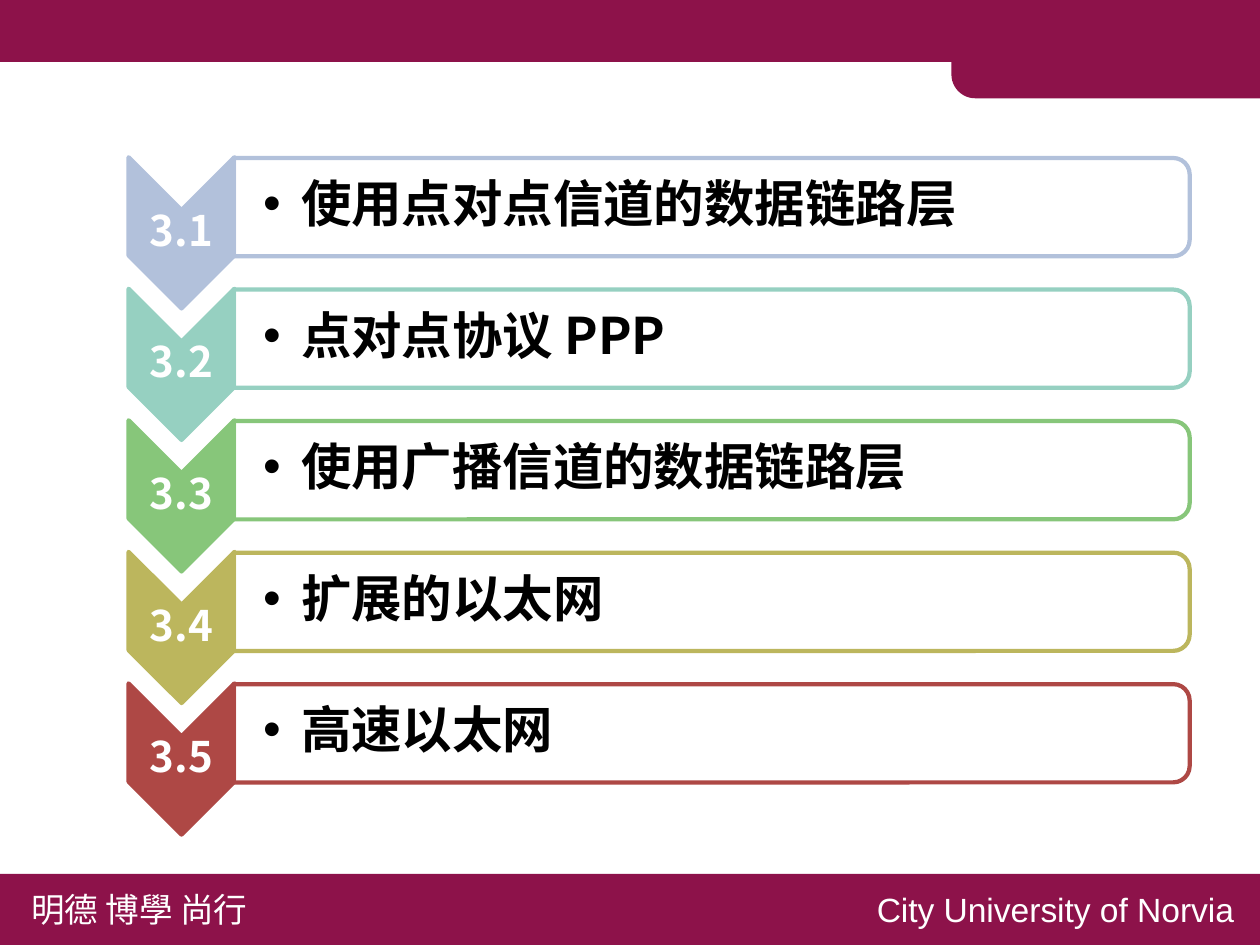
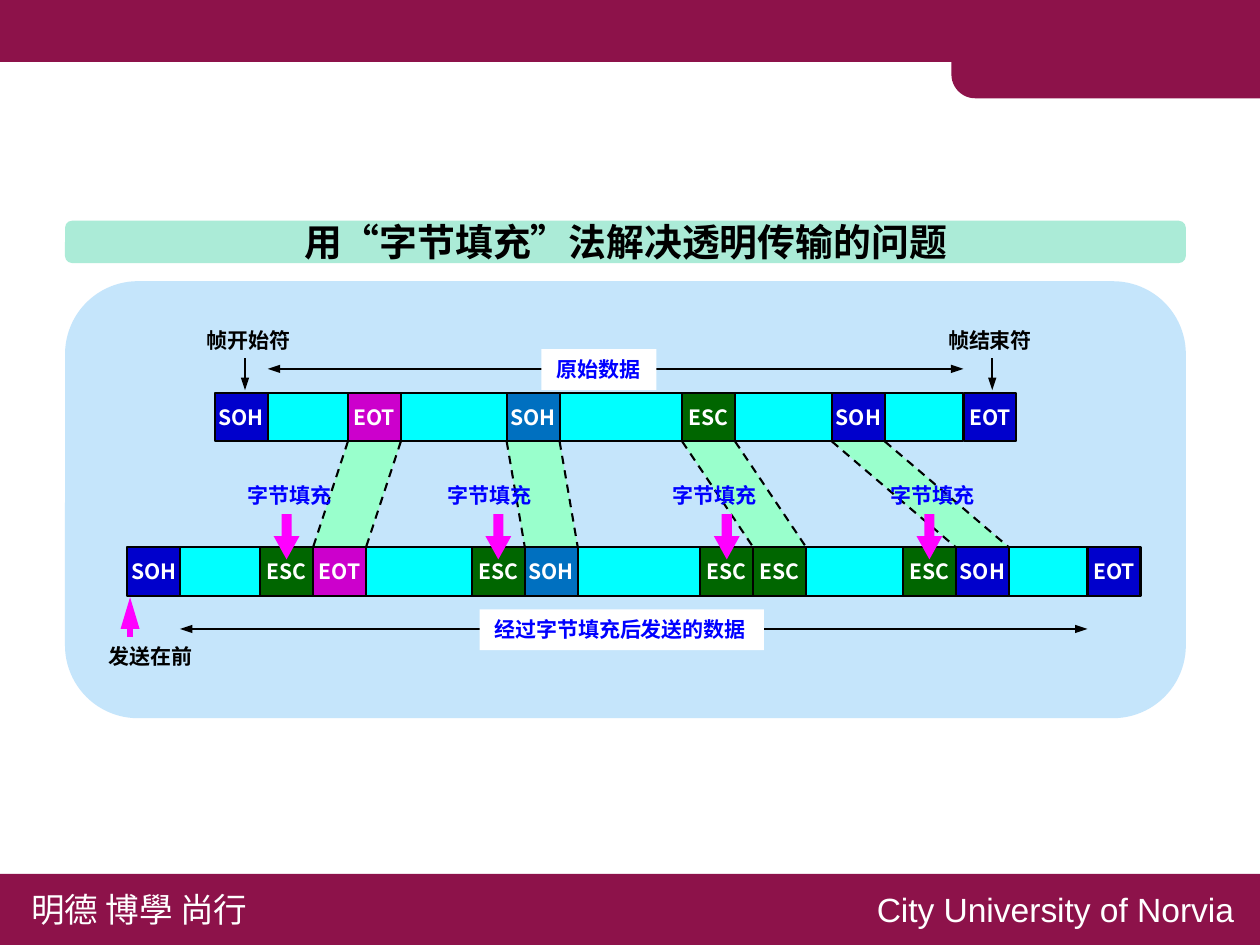
from dataclasses import dataclass

from lxml.etree import SubElement
from pptx import Presentation
from pptx.dml.color import RGBColor
from pptx.enum.dml import MSO_LINE
from pptx.enum.shapes import MSO_CONNECTOR, MSO_SHAPE
from pptx.enum.text import MSO_ANCHOR, MSO_AUTO_SIZE, PP_ALIGN
from pptx.oxml.ns import qn
from pptx.util import Inches, Pt


@dataclass(frozen=True)
class Theme:
    """Colours, fonts and type sizes of the presentation."""
    band: str = "8D124A"
    white: str = "FFFFFF"
    black: str = "000000"
    title_bar: str = "ABEBD7"
    panel: str = "C5E5FB"
    data: str = "00FFFF"
    control: str = "0000CC"
    end_in_data: str = "CC00CC"
    start_in_data: str = "0070C0"
    escape: str = "006600"
    ribbon: str = "99FFCC"
    label: str = "0000FF"
    pointer: str = "FF00FF"
    cjk_font: str = "Noto Sans CJK SC"
    latin_font: str = "Arial"
    footer_size: int = 16
    number_size: int = 20
    section_size: int = 24
    title_size: int = 18
    label_size: int = 10


THEME = Theme()
WIDTH, HEIGHT = 8.33, 6.25

SECTIONS = [
    ("3.1", "使用点对点信道的数据链路层", "B2C1DB"),
    ("3.2", "点对点协议 PPP", "96D0C1"),
    ("3.3", "使用广播信道的数据链路层", "87C67A"),
    ("3.4", "扩展的以太网", "BCB65D"),
    ("3.5", "高速以太网", "AE4845"),
]
SECTION_TOP, SECTION_STEP = 1.04, 0.87

CELL_WIDTH, CELL_HEIGHT = 0.35, 0.32
ORIGINAL_LEFT, ORIGINAL_TOP = 1.42, 2.6
STUFFED_LEFT, STUFFED_TOP = 0.84, 3.62
DATA_GAPS = [0.53, 0.7, 0.81, 0.64, 0.52]
SPECIAL_BYTES = [
    ("EOT", THEME.end_in_data, 1.54),
    ("SOH", THEME.start_in_data, 2.86),
    ("ESC", THEME.escape, 4.35),
    ("SOH", THEME.control, 5.79),
]


def rgb(colour):
    """Turn a hexadecimal colour into an RGBColor."""
    return RGBColor.from_string(colour)


def paint(shape, fill, line=None, line_width=1):
    """Give a shape its fill and outline and take away its shadow."""
    shape.shadow.inherit = False
    shape.fill.solid()
    shape.fill.fore_color.rgb = rgb(fill)
    if line:
        shape.line.color.rgb = rgb(line)
        shape.line.width = Pt(line_width)
    else:
        shape.line.fill.background()


def add_block(slide, kind, box, fill, line=None, line_width=1, rotation=0, adjustments=()):
    """Add a painted preset shape."""
    shape = slide.shapes.add_shape(kind, *map(Inches, box))
    paint(shape, fill, line, line_width)
    shape.rotation = rotation
    for index, value in enumerate(adjustments):
        shape.adjustments[index] = value
    return shape


def write(shape, text, size, colour, bold=True, font=THEME.cjk_font, align=PP_ALIGN.LEFT,
          anchor=MSO_ANCHOR.TOP, wrap=False, insets=None):
    """Write one run into a shape and return its paragraph."""
    frame = shape.text_frame
    frame.word_wrap = wrap
    frame.vertical_anchor = anchor
    if insets:
        (frame.margin_left, frame.margin_top,
         frame.margin_right, frame.margin_bottom) = map(Inches, insets)
    paragraph = frame.paragraphs[0]
    paragraph.alignment = align
    run = paragraph.add_run()
    run.text = text
    run.font.name = font
    run.font.size = Pt(size)
    run.font.bold = bold
    run.font.color.rgb = rgb(colour)
    properties = run.font._element
    SubElement(properties, qn("a:ea")).set("typeface", font)
    if font == THEME.cjk_font:
        properties.set("lang", "zh-CN")
    return paragraph


def add_text(slide, box, text, size, colour, **options):
    """Add a text box with one run and return its paragraph."""
    shape = slide.shapes.add_textbox(*map(Inches, box))
    return write(shape, text, size, colour, **options)


def add_label(slide, box, text, colour, fill=None):
    """Add a small bold label, on a plain ground if a fill is given."""
    shape = slide.shapes.add_textbox(*map(Inches, box))
    if fill:
        paint(shape, fill)
    write(shape, text, THEME.label_size, colour)
    shape.text_frame.auto_size = MSO_AUTO_SIZE.SHAPE_TO_FIT_TEXT


def add_line(slide, start, end, colour=THEME.black, width=1, dashed=False,
             heads=(), head_width="sm", head_length="med"):
    """Add a straight line, dashed or with arrowheads."""
    line = slide.shapes.add_connector(
        MSO_CONNECTOR.STRAIGHT, *map(Inches, (*start, *end)))
    line.line.color.rgb = rgb(colour)
    line.line.width = Pt(width)
    if dashed:
        line.line.dash_style = MSO_LINE.DASH
    outline = line.line._get_or_add_ln()
    for head in heads:
        arrowhead = SubElement(outline, qn(f"a:{head}"))
        arrowhead.set("type", "triangle")
        arrowhead.set("w", head_width)
        arrowhead.set("len", head_length)
    SubElement(line._element.spPr, qn("a:effectLst"))


def add_ribbon(slide, corners):
    """Add a filled outline through the given corners."""
    points = [(Inches(x), Inches(y)) for x, y in corners]
    builder = slide.shapes.build_freeform(*points[0])
    builder.add_line_segments(points[1:], close=True)
    paint(builder.convert_to_shape(), THEME.ribbon)


def add_cell(slide, left, top, text, fill):
    """Add one control byte of a frame."""
    cell = add_block(slide, MSO_SHAPE.RECTANGLE, (left, top, CELL_WIDTH, CELL_HEIGHT),
                     fill, THEME.black)
    write(cell, text, THEME.label_size, THEME.white,
          align=PP_ALIGN.CENTER, anchor=MSO_ANCHOR.MIDDLE)


def add_bullet(paragraph, indent):
    """Give a paragraph a round bullet with a hanging indent."""
    properties = paragraph._element.get_or_add_pPr()
    properties.set("marL", str(Inches(indent)))
    properties.set("indent", str(-Inches(indent)))
    SubElement(properties, qn("a:buFont")).set("typeface", THEME.latin_font)
    SubElement(properties, qn("a:buChar")).set("char", "•")


def add_framed_slide(presentation):
    """Add a blank slide with the shared bands and footer."""
    slide = presentation.slides.add_slide(presentation.slide_layouts[6])
    add_block(slide, MSO_SHAPE.RECTANGLE, (0, 0, WIDTH, 0.41), THEME.band)
    add_block(slide, MSO_SHAPE.ROUND_1_RECTANGLE, (6.29, 0.02, WIDTH - 6.29, 0.63),
              THEME.band, rotation=180, adjustments=[0.25])
    add_block(slide, MSO_SHAPE.RECTANGLE, (0, 5.78, WIDTH, HEIGHT - 5.78), THEME.band)
    add_text(slide, (0.11, 5.83, 1.68, 0.37), "明德 博學 尚行",
             THEME.footer_size, THEME.white, bold=False)
    add_text(slide, (5.68, 5.83, 2.58, 0.37), "City University of Norvia",
             THEME.footer_size, THEME.white, bold=False, font=THEME.latin_font,
             align=PP_ALIGN.RIGHT)
    return slide


def add_section(slide, top, number, title, colour):
    """Add one chevron with its number and its outlined title."""
    add_block(slide, MSO_SHAPE.CHEVRON, (0.7, top + 0.15, 1, 0.7),
              colour, colour, 2, rotation=90)
    paragraph = add_text(slide, (0.85, top + 0.35, 0.7, 0.3), number,
                         THEME.number_size, THEME.white, align=PP_ALIGN.CENTER,
                         anchor=MSO_ANCHOR.MIDDLE, wrap=True, insets=[0.01] * 4)
    paragraph.line_spacing = 0.9
    outline = add_block(slide, MSO_SHAPE.ROUND_2_SAME_RECTANGLE,
                        (4.38, top - 2.83, 0.65, 6.32), THEME.white, colour, 2, rotation=90)
    fill_colour = outline._element.spPr.find(qn("a:solidFill"))[0]
    SubElement(fill_colour, qn("a:alpha")).set("val", "90000")
    paragraph = add_text(slide, (1.55, top + 0.03, 6.29, 0.59), title,
                         THEME.section_size, THEME.black, anchor=MSO_ANCHOR.MIDDLE,
                         wrap=True, insets=(0.19, 0.02, 0.02, 0.02))
    paragraph.line_spacing = 0.9
    add_bullet(paragraph, 0.25)


def build_contents(presentation):
    """Build the slide that lists the sections."""
    slide = add_framed_slide(presentation)
    for index, section in enumerate(SECTIONS):
        add_section(slide, SECTION_TOP + index * SECTION_STEP, *section)


def byte_positions(left, cells_per_group):
    """Return the left edges of the special bytes and of the closing byte."""
    positions = []
    edge = left + CELL_WIDTH
    for gap in DATA_GAPS:
        edge += gap
        positions.append(edge)
        edge += cells_per_group * CELL_WIDTH
    return positions


def add_frame_row(slide, left, top, end):
    """Add the data bar between the opening and closing bytes."""
    start = left + CELL_WIDTH
    add_block(slide, MSO_SHAPE.RECTANGLE, (start, top, end - start, CELL_HEIGHT),
              THEME.data, THEME.black)
    add_cell(slide, left, top, "SOH", THEME.control)
    add_cell(slide, end, top, "EOT", THEME.control)


def add_range(slide, left, right, height, label_box, text):
    """Add a double arrow with a label over it."""
    add_line(slide, (left, height), (right, height), heads=("headEnd", "tailEnd"))
    add_label(slide, label_box, text, THEME.label, THEME.white)


def build_byte_stuffing(presentation):
    """Build the slide that explains byte stuffing."""
    slide = add_framed_slide(presentation)
    title = add_block(slide, MSO_SHAPE.ROUNDED_RECTANGLE, (0.43, 1.46, 7.41, 0.28),
                      THEME.title_bar)
    write(title, "用“字节填充”法解决透明传输的问题", THEME.title_size, THEME.black,
          align=PP_ALIGN.CENTER, anchor=MSO_ANCHOR.MIDDLE)
    add_block(slide, MSO_SHAPE.ROUNDED_RECTANGLE, (0.43, 1.86, 7.41, 2.89), THEME.panel)

    *sources, original_end = byte_positions(ORIGINAL_LEFT, 1)
    *escapes, stuffed_end = byte_positions(STUFFED_LEFT, 2)
    ribbon_top = ORIGINAL_TOP + CELL_HEIGHT
    targets = [escape + CELL_WIDTH for escape in escapes]
    for source, target in zip(sources, targets):
        add_ribbon(slide, [(source, ribbon_top), (source + CELL_WIDTH, ribbon_top),
                           (target + CELL_WIDTH, STUFFED_TOP), (target, STUFFED_TOP)])
    add_frame_row(slide, ORIGINAL_LEFT, ORIGINAL_TOP, original_end)
    add_frame_row(slide, STUFFED_LEFT, STUFFED_TOP, stuffed_end)

    for (text, fill, label_left), source, escape, target in zip(
            SPECIAL_BYTES, sources, escapes, targets):
        add_cell(slide, source, ORIGINAL_TOP, text, fill)
        add_cell(slide, escape, STUFFED_TOP, "ESC", THEME.escape)
        add_cell(slide, target, STUFFED_TOP, text, fill)
        for offset in (0, CELL_WIDTH):
            add_line(slide, (source + offset, ribbon_top), (target + offset, STUFFED_TOP),
                     dashed=True)
        add_label(slide, (label_left, 3.14, 0.76, 0.27), "字节填充", THEME.label)
        add_block(slide, MSO_SHAPE.DOWN_ARROW, (escape + 0.09, 3.4, 0.17, 0.3),
                  THEME.pointer, adjustments=(0.39, 0.9))

    add_range(slide, ORIGINAL_LEFT + CELL_WIDTH, original_end, 2.44,
              (3.58, 2.31, 0.76, 0.27), "原始数据")
    add_range(slide, STUFFED_LEFT + CELL_WIDTH, stuffed_end, 4.16,
              (3.17, 4.03, 1.88, 0.27), "经过字节填充后发送的数据")
    for text, label_left, arrow in (("帧开始符", 1.27, 1.62), ("帧结束符", 6.17, 6.56)):
        add_label(slide, (label_left, 2.12, 0.76, 0.27), text, THEME.black)
        add_line(slide, (arrow, 2.37), (arrow, 2.58), heads=["tailEnd"])
    add_line(slide, (0.86, 4.21), (0.86, 3.95), THEME.pointer, 3, heads=["tailEnd"],
             head_width="med", head_length="lg")
    add_label(slide, (0.62, 4.21, 0.77, 0.27), "发送在前", THEME.black)


def main():
    """Build and save the presentation."""
    presentation = Presentation()
    presentation.slide_width = Inches(WIDTH)
    presentation.slide_height = Inches(HEIGHT)
    build_contents(presentation)
    build_byte_stuffing(presentation)
    presentation.save("out.pptx")


if __name__ == "__main__":
    main()
